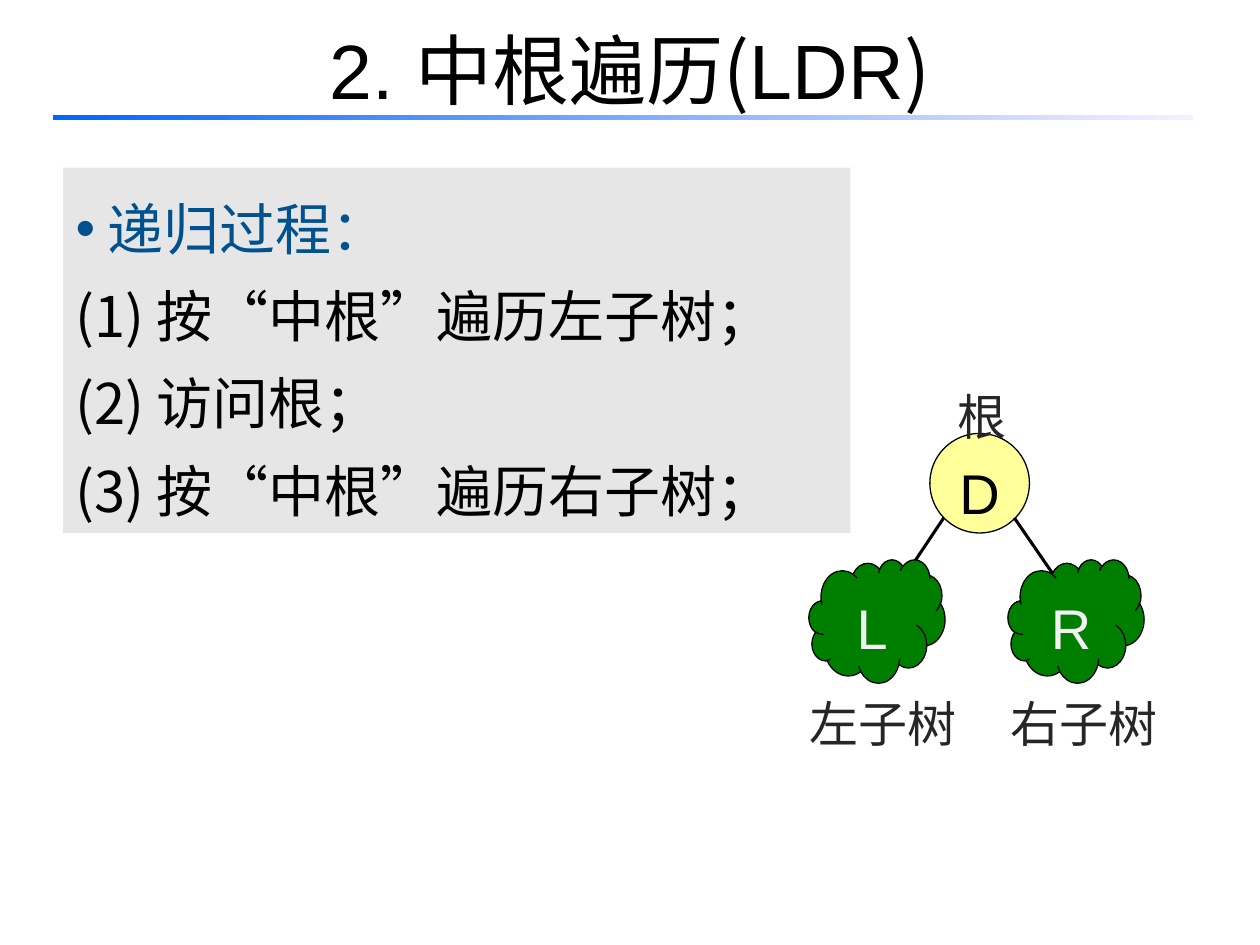
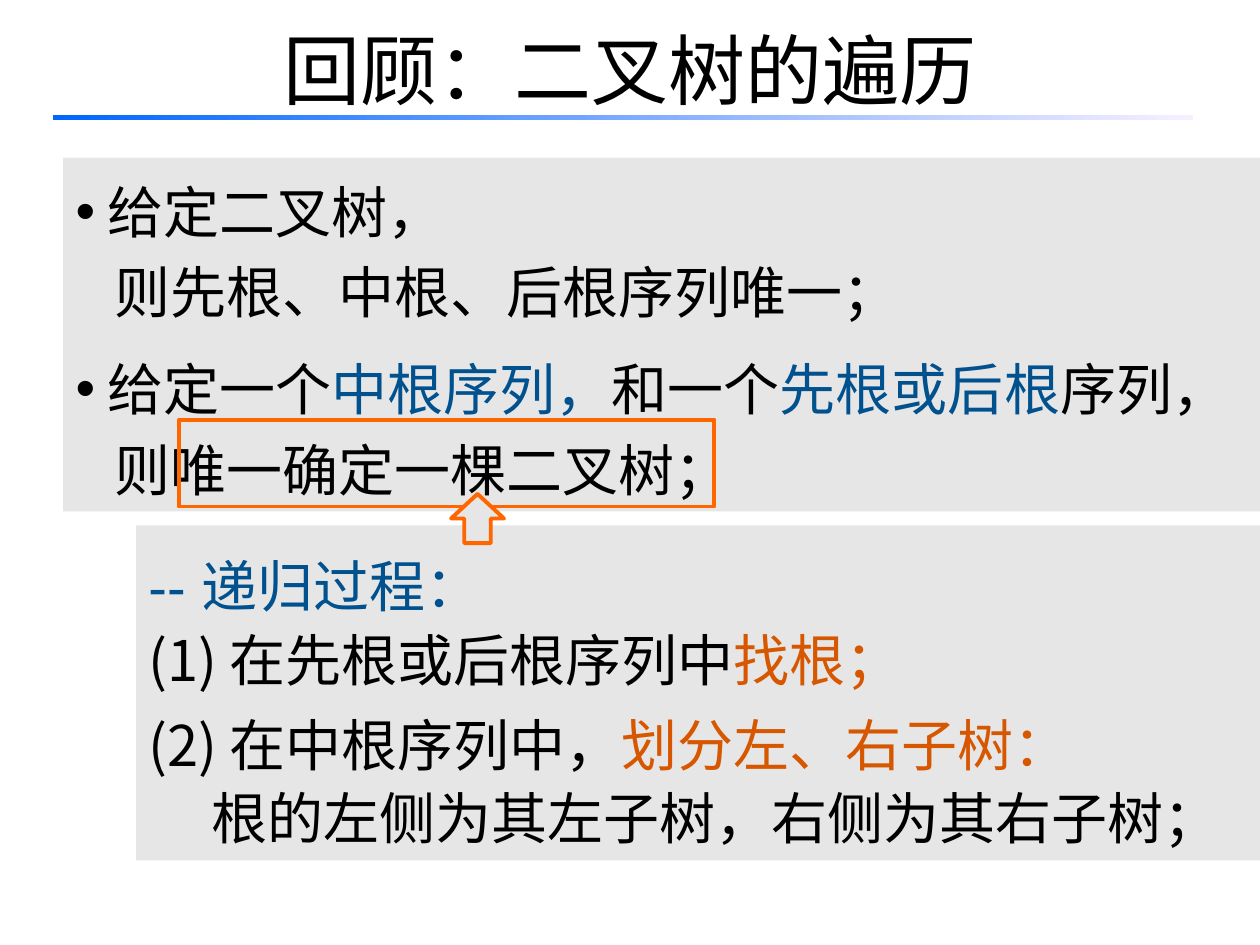
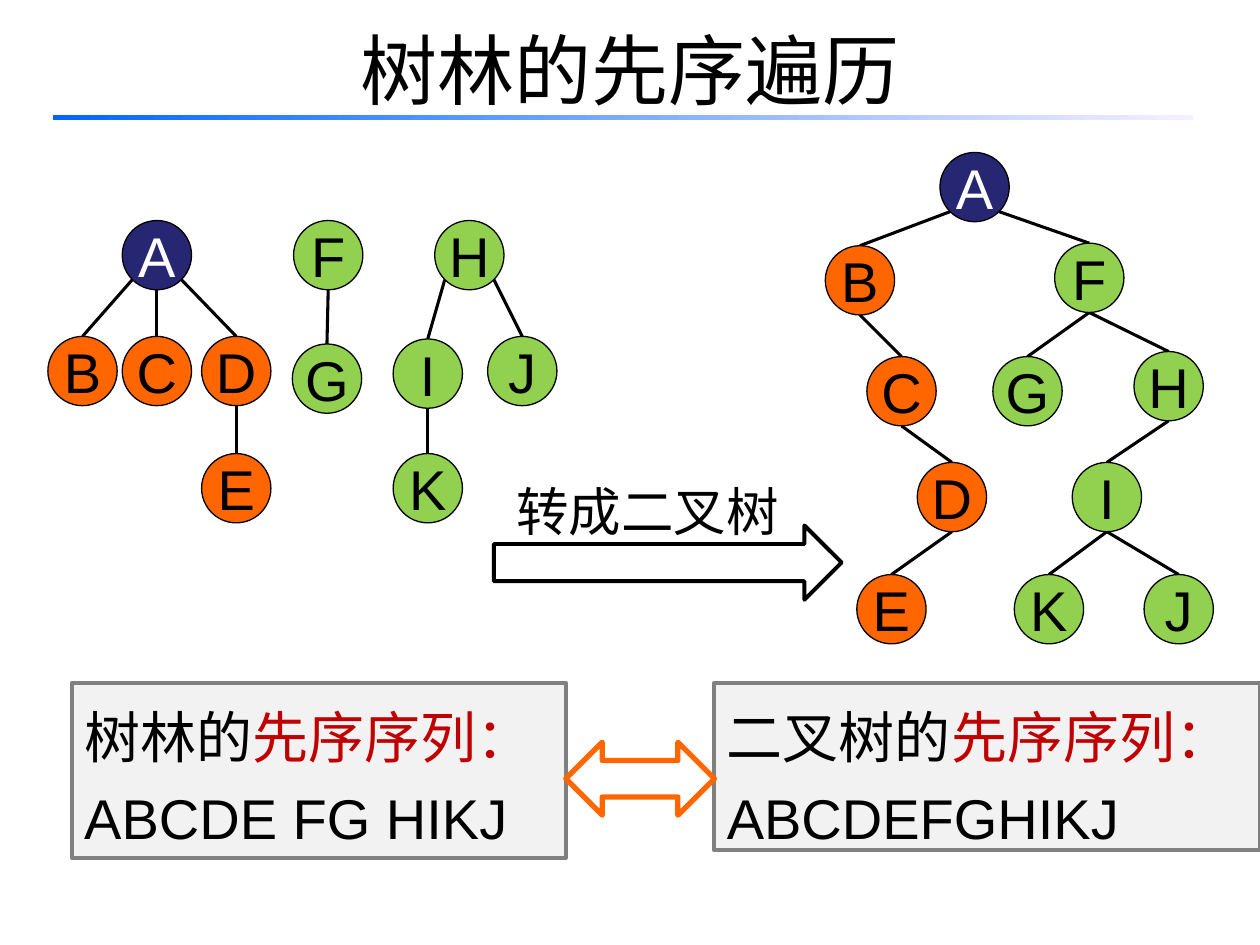
"""Builds three slides on traversing binary trees and forests."""
from lxml.etree import SubElement
from pptx import Presentation
from pptx.dml.color import RGBColor
from pptx.enum.shapes import MSO_CONNECTOR, MSO_SHAPE
from pptx.enum.text import MSO_ANCHOR, MSO_AUTO_SIZE, PP_ALIGN
from pptx.oxml.ns import qn
from pptx.util import Inches, Pt

LATIN, CHINESE = "Arial", "Noto Sans CJK SC"
BLACK, WHITE, INK = "000000", "FFFFFF", "262626"
BLUE, RUST, RED, ORANGE = "00518E", "D65700", "C00000", "FF6600"
PANEL, PALE, GREY = "E6E6E6", "F2F2F2", "808080"
NAVY, LIME, LEAF, YELLOW = "262673", "92D050", "007E00", "FFFF99"
RULE_COLOURS = ("0066FF", "F7EFFF")

LDR_TITLE = [("2. ", BLACK, LATIN), ("中根遍历(", BLACK, CHINESE),
             ("LDR", BLACK, LATIN), (")", BLACK, CHINESE)]
REVIEW_TITLE = [("回顾：二叉树的遍历", BLACK, CHINESE)]
FOREST_TITLE = [("树林的先序遍历", BLACK, CHINESE)]

INDENTS = {"bullet": (0.25, -0.25), "number": (0.64, -0.64),
           "under bullet": (0.31, 0), "under number": (0.5, 0), "plain": (0, 0)}

LDR_STEPS = [
    ("bullet", 1.3, 0, [("递归过程：", BLUE)]),
    ("number", 1.3, 0, [("按“中根”遍历左子树；", BLACK)]),
    ("number", 1.3, 0, [("访问根；", BLACK)]),
    ("number", 1.3, 0, [("按“中根”遍历右子树；", BLACK)]),
]
UNIQUENESS = [
    ("bullet", 1.2, 0, [("给定二叉树，", BLACK)]),
    ("under bullet", 1.2, 0, [("则先根、中根、后根序列唯一；", BLACK)]),
    ("bullet", 1.2, 9, [("给定一个", BLACK), ("中根序列，", BLUE), ("和一个", BLACK),
                        ("先根或后根", BLUE), ("序列，", BLACK)]),
    ("under bullet", 1.2, 0, [("则唯一确定一棵二叉树；", BLACK)]),
]
REBUILD_STEPS = [
    ("plain", 1.3, 0, [("-- 递归过程：", BLUE)]),
    ("number", 1.1, 0, [("在先根或后根序列中", BLACK), ("找根；", RUST)]),
    ("number", 1.1, 6, [("在中根序列中，", BLACK), ("划分左、右子树：", RUST)]),
    ("under number", 1.1, 0, [("根的左侧为其左子树，右侧为其右子树；", BLACK)]),
]
SEQUENCES = [
    ((0.57, 5.42, 3.92, 1.39), "树林的", "ABCDE FG HIKJ"),
    ((5.67, 5.42, 4.33, 1.33), "二叉树的", "ABCDEFGHIKJ"),
]
SUBTREES = [("L", "左子树", 6.42, 6.33), ("R", "右子树", 8, 7.92)]

NODE = 0.55
FOREST_NODES = {
    "A": (0.97, 1.75), "F": (2.33, 1.75), "H": (3.45, 1.75),
    "B": (0.38, 2.67), "C": (0.97, 2.67), "D": (1.6, 2.67), "G": (2.32, 2.73),
    "I": (3.12, 2.69), "J": (3.87, 2.67), "E": (1.6, 3.6), "K": (3.12, 3.6),
}
FOREST_EDGES = ["AB", "AC", "AD", "DE", "FG", "HI", "HJ", "IK"]
BINARY_NODES = {
    "A": (7.46, 1.21), "B": (6.55, 1.95), "F": (8.37, 1.93), "C": (6.88, 2.83),
    "G": (7.88, 2.83), "H": (9, 2.79), "D": (7.28, 3.67), "I": (8.51, 3.67),
    "E": (6.8, 4.56), "K": (8.05, 4.56), "J": (9.08, 4.56),
}
BINARY_EDGES = ["AB", "AF", "BC", "CD", "DE", "FG", "FH", "HI", "IK", "IJ"]


def colour(code):
    """Turns a hex string into a colour."""
    return RGBColor.from_string(code)


def place(shape, at):
    """Moves and sizes a shape, in inches."""
    shape.left, shape.top, shape.width, shape.height = map(Inches, at)


def paint(shape, fill=None, line=None, weight=0.75):
    """Sets the fill and outline of a shape."""
    if fill:
        shape.fill.solid()
        shape.fill.fore_color.rgb = colour(fill)
    else:
        shape.fill.background()
    if line:
        shape.line.color.rgb = colour(line)
        shape.line.width = Pt(weight)
    else:
        shape.line.fill.background()


def add_shape(slide, preset, at, fill=None, line=None, weight=0.75):
    """Adds a preset shape without shadow."""
    shape = slide.shapes.add_shape(preset, *map(Inches, at))
    shape.shadow.inherit = False
    paint(shape, fill, line, weight)
    return shape


def add_line(slide, start, end):
    """Adds a black straight line between two points."""
    line = slide.shapes.add_connector(MSO_CONNECTOR.STRAIGHT, *map(Inches, start + end))
    line.line.color.rgb = colour(BLACK)
    line.line.width = Pt(1.75)
    SubElement(line._element.spPr, qn("a:effectLst"))


def set_marker(para, kind):
    """Gives a paragraph its indents and its bullet or number."""
    margin, hang = INDENTS[kind]
    props = para._p.get_or_add_pPr()
    props.set("marL", str(Inches(margin)))
    props.set("indent", str(Inches(hang)))
    if kind == "bullet":
        SubElement(props, qn("a:buFont"), typeface=LATIN)
        SubElement(props, qn("a:buChar"), char="•")
    elif kind == "number":
        SubElement(props, qn("a:buFont"), typeface=CHINESE)
        SubElement(props, qn("a:buAutoNum"), type="arabicParenBoth")
    else:
        SubElement(props, qn("a:buNone"))


def write(shape, paras, size=32, align=PP_ALIGN.LEFT, anchor=MSO_ANCHOR.TOP, wrap=True):
    """Fills a shape with paragraphs of coloured runs."""
    frame = shape.text_frame
    frame.auto_size = MSO_AUTO_SIZE.NONE
    frame.word_wrap = wrap
    frame.vertical_anchor = anchor
    for index, (kind, spacing, before, runs) in enumerate(paras):
        para = frame.add_paragraph() if index else frame.paragraphs[0]
        set_marker(para, kind)
        para.alignment = align
        para.line_spacing = spacing
        para.space_before = Pt(before)
        for text, code, *font in runs:
            span = para.add_run()
            span.text = text
            span.font.size = Pt(size)
            span.font.color.rgb = colour(code)
            span.font.name = font[0] if font else LATIN
            props = span._r.get_or_add_rPr()
            props.set("lang", "zh-CN")
            SubElement(props, qn("a:ea"), typeface=CHINESE)


def add_label(slide, at, text, size, code, spacing):
    """Adds a one-line text box."""
    box = slide.shapes.add_textbox(*map(Inches, at))
    write(box, [("plain", spacing, 0, [(text, code)])], size)


def add_letter(shape, letter, code, spacing=1.0, anchor=MSO_ANCHOR.MIDDLE):
    """Writes one centred letter in a shape."""
    write(shape, [("plain", spacing, 0, [(letter, code)])],
          align=PP_ALIGN.CENTER, anchor=anchor, wrap=False)


def add_slide(deck, layout, title):
    """Adds a slide with the shared title and the fading rule under it."""
    slide = deck.slides.add_slide(deck.slide_layouts[layout])
    place(slide.shapes.title, (0.5, -0.08, 9, 1.25))
    write(slide.shapes.title, [("plain", 1.0, 0, title)], 44,
          PP_ALIGN.CENTER, MSO_ANCHOR.MIDDLE)
    rule = add_shape(slide, MSO_SHAPE.RECTANGLE, (0.42, 0.91, 9.05, 0.04))
    rule.fill.gradient()
    rule.fill.gradient_angle = 0
    for stop, code in zip(rule.fill.gradient_stops, RULE_COLOURS):
        stop.color.rgb = colour(code)
    return slide


def add_body(slide, at, paras):
    """Fills the body placeholder as a grey panel."""
    body = slide.placeholders[1]
    place(body, at)
    paint(body, PANEL)
    write(body, paras)


def add_tree(slide, nodes, edges):
    """Draws edges, then lettered nodes; roots branch from their lower corners."""
    children = {child for _, child in edges}
    for parent, child in edges:
        (left, top), (child_left, child_top) = nodes[parent], nodes[child]
        middle, target = left + NODE / 2, child_left + NODE / 2
        shift = target - middle
        start = (middle, top + NODE)
        if parent not in children and abs(shift) > 0.1:
            start = (middle + (0.195 if shift > 0 else -0.195), top + 0.47)
        add_line(slide, start, (target, child_top))
    for letter, corner in nodes.items():
        fill = NAVY if letter == "A" else ORANGE if letter in "BCDE" else LIME
        node = add_shape(slide, MSO_SHAPE.OVAL, corner + (NODE, NODE), fill, BLACK)
        add_letter(node, letter, WHITE if letter == "A" else BLACK)


def build_ldr(deck):
    """Shows the steps of the root-in-the-middle traversal."""
    slide = add_slide(deck, 1, LDR_TITLE)
    add_body(slide, (0.5, 1.33, 6.25, 2.9), LDR_STEPS)
    root = add_shape(slide, MSO_SHAPE.OVAL, (7.38, 3.44, 0.79, 0.79), YELLOW, BLACK)
    add_letter(root, "D", BLACK, 1.25)
    add_line(slide, (7.49, 4.11), (7.19, 4.56))
    add_line(slide, (8.05, 4.11), (8.36, 4.56))
    for letter, name, cloud_left, name_left in SUBTREES:
        cloud = add_shape(slide, MSO_SHAPE.CLOUD, (cloud_left, 4.44, 1.08, 0.98), LEAF, BLACK)
        add_letter(cloud, letter, PALE, 1.25)
        add_label(slide, (name_left, 5.27, 1.5, 0.76), name, 28, INK, 1.4)
    add_label(slide, (7.5, 2.83, 0.92, 0.76), "根", 28, INK, 1.4)


def build_review(deck):
    """Shows which sequences determine a binary tree."""
    slide = add_slide(deck, 1, REVIEW_TITLE)
    add_body(slide, (0.5, 1.25, 9.5, 2.81), UNIQUENESS)
    add_shape(slide, MSO_SHAPE.RECTANGLE, (1.42, 3.33, 4.25, 0.69), None, ORANGE, 2.25)
    steps = add_shape(slide, MSO_SHAPE.RECTANGLE, (1.08, 4.17, 8.92, 2.66), PANEL)
    write(steps, REBUILD_STEPS)
    add_shape(slide, MSO_SHAPE.UP_ARROW, (3.58, 3.92, 0.42, 0.39), PANEL, ORANGE, 2.25)


def build_forest(deck):
    """Shows a forest, its binary tree and their equal sequences."""
    slide = add_slide(deck, 5, FOREST_TITLE)
    add_tree(slide, BINARY_NODES, BINARY_EDGES)
    add_tree(slide, FOREST_NODES, FOREST_EDGES)
    add_label(slide, (4, 3.75, 2.42, 0.61), "转成二叉树", 30, BLACK, 1.0)
    add_shape(slide, MSO_SHAPE.RIGHT_ARROW, (3.92, 4.17, 2.76, 0.59), None, BLACK, 2.25)
    for at, owner, letters in SEQUENCES:
        box = add_shape(slide, MSO_SHAPE.RECTANGLE, at, PALE, GREY, 2.25)
        write(box, [("plain", 1.2, 0, [(owner, BLACK), ("先序序列：", RED)]),
                    ("plain", 1.2, 0, [(letters, BLACK)])])
    add_shape(slide, MSO_SHAPE.LEFT_RIGHT_ARROW, (4.49, 5.89, 1.18, 0.58), None, ORANGE, 3)


def main():
    """Builds and saves the deck."""
    deck = Presentation()
    deck.slide_width, deck.slide_height = Inches(10), Inches(7.5)
    build_ldr(deck)
    build_review(deck)
    build_forest(deck)
    deck.save("out.pptx")


if __name__ == "__main__":
    main()
